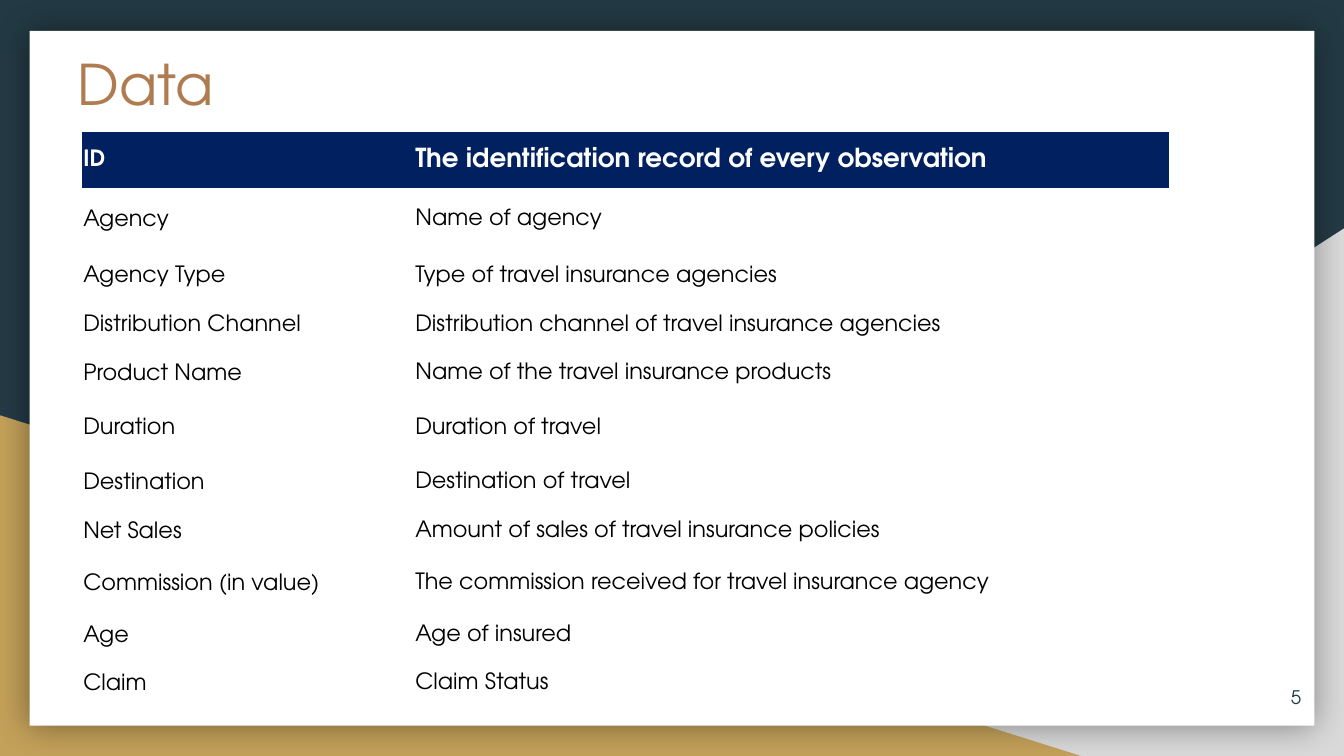
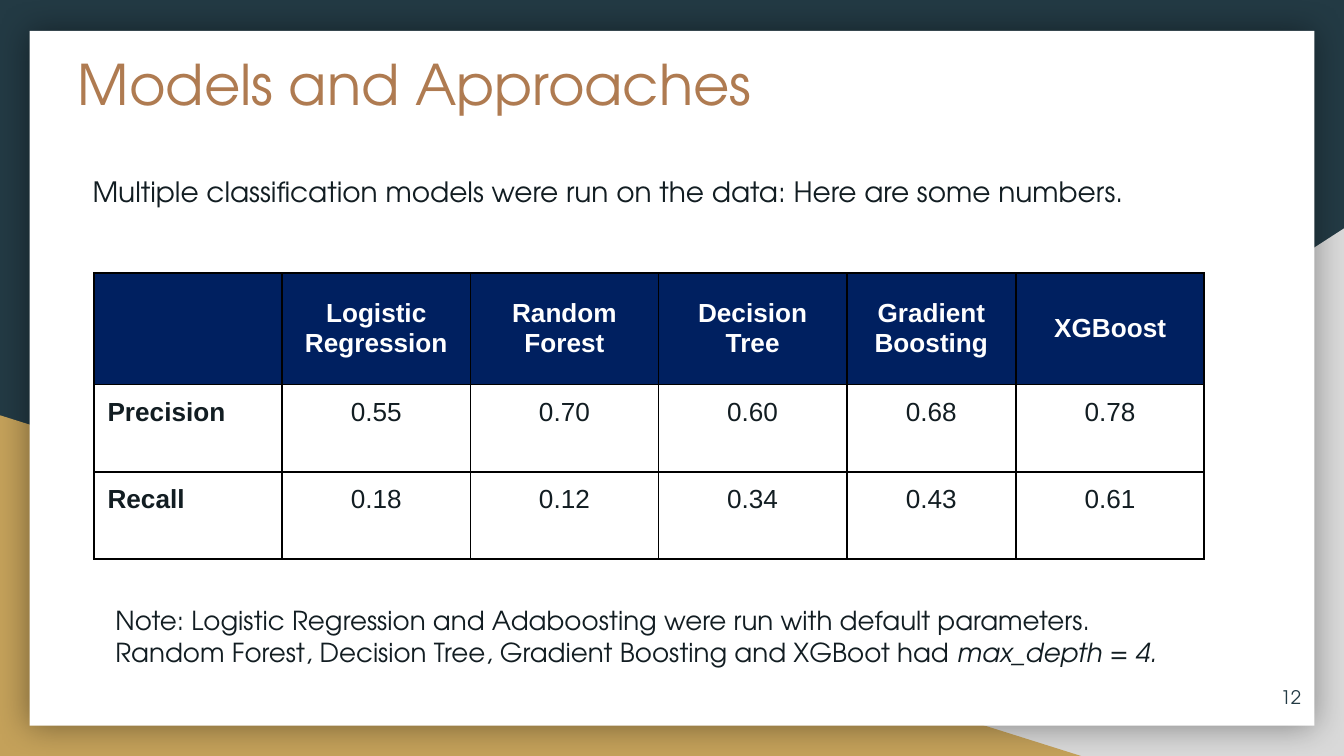
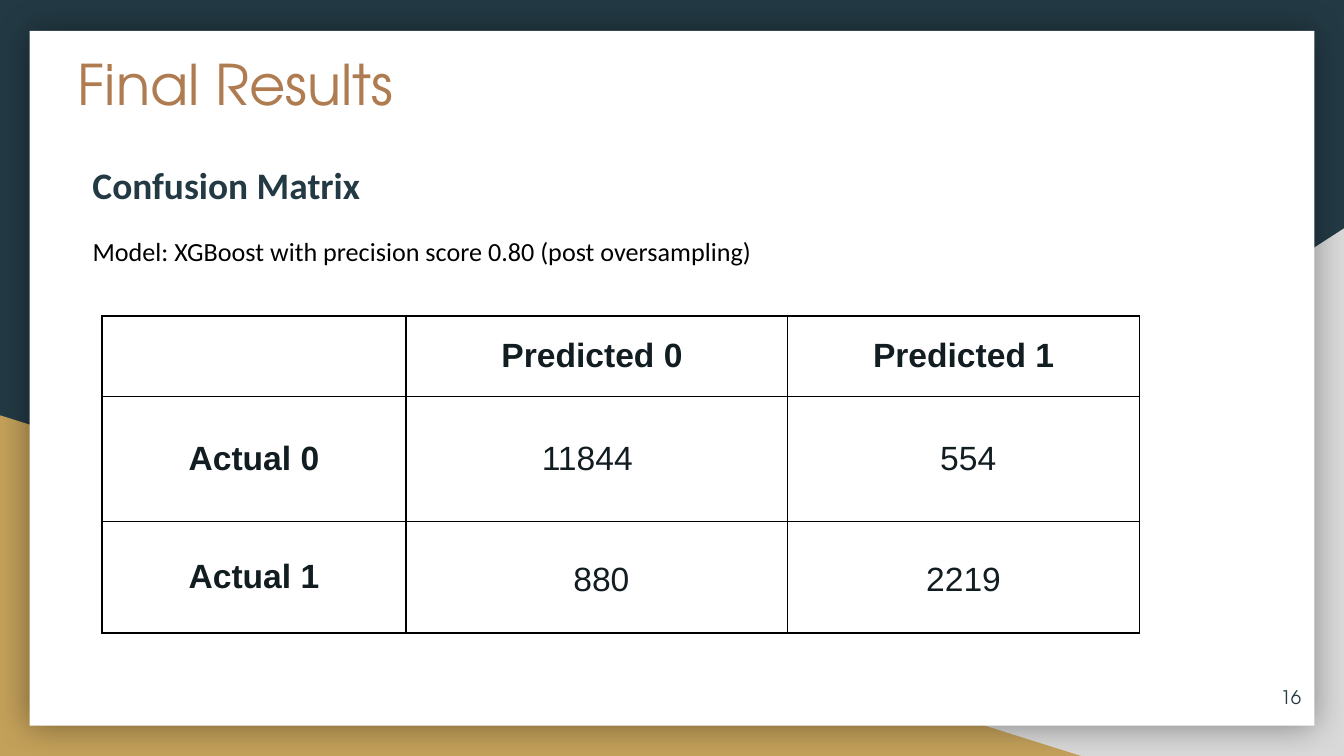
from lxml import etree
from pptx import Presentation
from pptx.dml.color import RGBColor
from pptx.enum.shapes import MSO_SHAPE
from pptx.enum.text import MSO_ANCHOR, PP_ALIGN
from pptx.oxml.ns import qn
from pptx.util import Emu, Pt

RECTANGLE, TRIANGLE = MSO_SHAPE.RECTANGLE, MSO_SHAPE.RIGHT_TRIANGLE
TOP, MIDDLE = MSO_ANCHOR.TOP, MSO_ANCHOR.MIDDLE
LEFT, CENTER, RIGHT = PP_ALIGN.LEFT, PP_ALIGN.CENTER, PP_ALIGN.RIGHT

EMU_PER_PX = 9144
PAGE_WIDTH = 1000
TEAL, GREY, GOLD, WHITE, BLACK = "233A44", "D9D9D9", "C4A15A", "FFFFFF", "000000"
COPPER, NAVY, INK = "AF7B51", "002060", "121D22"
DISPLAY, SANS, HUMANIST = "TeX Gyre Adventor", "Arial", "Calibri"
INSETS = (10, 10, 10, 10)
SIDES = ("margin_left", "margin_top", "margin_right", "margin_bottom")

TITLE = {"size": 30, "name": DISPLAY, "color": COPPER}
NUMBER = {"size": 10, "name": DISPLAY, "color": TEAL}
INTRO = {"size": 15, "name": DISPLAY, "color": INK}
NOTE = {"size": 14, "name": DISPLAY, "color": INK}
SUBTITLE = {"size": 20, "name": HUMANIST, "color": TEAL, "bold": True}
CAPTION = {"size": 14, "name": HUMANIST, "color": BLACK}
FIELD = {"size": 12, "name": DISPLAY, "color": BLACK}
SCORE = {"size": 14, "name": SANS, "color": INK}
COUNT = {"size": 18, "name": SANS, "color": INK}

FIELD_ROWS = [
    ("ID", "The identification record of every observation", 42),
    ("Agency", "Name of agency", 47),
    ("Agency Type", "Type of travel insurance agencies", 37),
    ("Distribution Channel", "Distribution channel of travel insurance agencies", 36),
    ("Product Name", "Name of the travel insurance products", 36),
    ("Duration", "Duration of travel", 45),
    ("Destination", "Destination of travel", 36),
    ("Net Sales", "Amount of sales of travel insurance policies", 37),
    ("Commission (in value)", "The commission received for travel insurance agency", 41),
    ("Age", "Age of insured", 36),
    ("Claim", "Claim Status", 36),
]
SCORE_ROWS = [
    ("", "Logistic\nRegression", "Random\nForest", "Decision\nTree", "Gradient\nBoosting", "XGBoost"),
    ("Precision", "0.55", "0.70", "0.60", "0.68", "0.78"),
    ("Recall", "0.18", "0.12", "0.34", "0.43", "0.61"),
]
COUNT_ROWS = [
    ("", "Predicted 0", "Predicted 1"),
    ("Actual 0", "11844", "554"),
    ("Actual 1", "880", "2219"),
]
COUNT_SHIFTS = {(0, 1): -7, (1, 1): -14, (1, 2): 7, (2, 1): 7}


def px(length):
    """Turn px into EMU."""
    return Emu(length * EMU_PER_PX)


def rgb(value):
    """Turn a hex string into a colour."""
    return RGBColor.from_string(value)


def add_spans(para, spans, style):
    """Add spans of text, each with its own changes to the style."""
    for text, changes in spans:
        span = para.add_run()
        span.text = text
        for key, value in {**style, **changes}.items():
            if key == "color":
                span.font.color.rgb = rgb(value)
            else:
                setattr(span.font, key, Pt(value) if key == "size" else value)


def fill_frame(frame, paras, style, layout):
    """Write paragraphs, given as strings or lists of spans."""
    for index, content in enumerate(paras):
        para = frame.add_paragraph() if index else frame.paragraphs[0]
        for key, value in layout.items():
            setattr(para, key, value)
        spans = [(content, {})] if isinstance(content, str) else content
        add_spans(para, spans, style)


def set_insets(target, insets):
    """Set the four inner margins of a frame or cell."""
    for side, inset in zip(SIDES, insets):
        setattr(target, side, px(inset))


def add_text(page, box, paras, style, anchor=TOP, **layout):
    """Add a wrapped text box."""
    frame = page.shapes.add_textbox(*map(px, box)).text_frame
    frame.word_wrap = True
    frame.vertical_anchor = anchor
    set_insets(frame, INSETS)
    fill_frame(frame, paras, style, layout)


def add_panel(page, kind, box, color):
    """Add a plain filled shape without line or shadow."""
    panel = page.shapes.add_shape(kind, *map(px, box))
    panel.shadow.inherit = False
    panel.fill.solid()
    panel.fill.fore_color.rgb = rgb(color)
    panel.line.fill.background()
    return panel


def add_glow(panel):
    """Give a panel a soft dark shadow on every side."""
    effects = panel._element.spPr.find(qn("a:effectLst"))
    shadow = etree.SubElement(effects, qn("a:outerShdw"), blurRad=str(Pt(18)), dist="0", dir="0",
                              algn="ctr", rotWithShape="0")
    color = etree.SubElement(shadow, qn("a:srgbClr"), val=BLACK)
    etree.SubElement(color, qn("a:alpha"), val="40000")


def add_page(deck, title, number):
    """Add a page with its backdrop, card, title and number."""
    page = deck.slides.add_slide(deck.slide_layouts[6])
    page.background.fill.solid()
    page.background.fill.fore_color.rgb = rgb(TEAL)
    corner = add_panel(page, TRIANGLE, (392, 170, 608, 393), GREY)
    corner._element.spPr.xfrm.set("flipH", "1")
    add_panel(page, TRIANGLE, (0, 309, 806, 254), GOLD)
    add_glow(add_panel(page, RECTANGLE, (22, 23, 956, 517), WHITE))
    add_text(page, (48, 27, 821, 71), [title], TITLE)
    add_text(page, (918, 497, 60, 43), [number], NUMBER, MIDDLE, alignment=RIGHT)
    return page


def set_borders(cell, color):
    """Draw the four cell borders, or hide them when no colour is given."""
    properties = cell._tc.get_or_add_tcPr()
    for side in ("lnL", "lnR", "lnT", "lnB"):
        line = etree.SubElement(properties, qn("a:" + side), w=str(Pt(1)))
        if color:
            fill = etree.SubElement(line, qn("a:solidFill"))
            etree.SubElement(fill, qn("a:srgbClr"), val=color)
        else:
            etree.SubElement(line, qn("a:noFill"))


def add_grid(page, corner, widths, heights, border=None):
    """Add a table without style bands and return its cells by row and column."""
    box = (*corner, sum(widths), sum(heights))
    table = page.shapes.add_table(len(heights), len(widths), *map(px, box)).table
    table.first_row = table.horz_banding = False
    for column, width in zip(table.columns, widths):
        column.width = px(width)
    for row, height in zip(table.rows, heights):
        row.height = px(height)
    cells = {(row, column): table.cell(row, column)
             for row in range(len(heights)) for column in range(len(widths))}
    for cell in cells.values():
        set_borders(cell, border)
    return cells


def fill_cell(cell, text, style, fill=None, insets=INSETS, anchor=MIDDLE, **layout):
    """Set the fill, margins and text of one cell."""
    if fill:
        cell.fill.solid()
        cell.fill.fore_color.rgb = rgb(fill)
    else:
        cell.fill.background()
    set_insets(cell, insets)
    cell.vertical_anchor = anchor
    if text:
        fill_frame(cell.text_frame, text.split("\n"), style, layout)


def add_field_table(page, corner):
    """List the fields of the data with their meanings."""
    heights = [height for *_, height in FIELD_ROWS]
    for (row, column), cell in add_grid(page, corner, [238, 571], heights).items():
        style = FIELD
        if row == 0:
            style = {**FIELD, "size": 14 if column else 12, "color": WHITE, "bold": True}
        insets = (10, 5, 10, 5) if column else (1, 1, 1, 0)
        fill_cell(cell, FIELD_ROWS[row][column], style, None if row else NAVY, insets)


def add_score_table(page, corner):
    """Compare precision and recall of the models."""
    cells = add_grid(page, corner, [140, 140, 140, 140, 126, 140], [83, 65, 65], BLACK)
    for (row, column), cell in cells.items():
        style = {**SCORE, "color": INK if row else WHITE, "bold": row == 0 or column == 0}
        fill_cell(cell, SCORE_ROWS[row][column], style, None if row else NAVY,
                  anchor=TOP if row else MIDDLE,
                  alignment=LEFT if row and column == 0 else CENTER)


def add_count_table(page, corner):
    """Show the confusion matrix."""
    cells = add_grid(page, corner, [226, 284, 262], [60, 93, 83], BLACK)
    for (row, column), cell in cells.items():
        shift = COUNT_SHIFTS.get((row, column), 0)
        insets = (10 + max(shift, 0), 10, 10 + max(-shift, 0), 10)
        fill_cell(cell, COUNT_ROWS[row][column], {**COUNT, "bold": row == 0 or column == 0},
                  insets=insets, alignment=CENTER,
                  line_spacing=1.15 if row == 2 and column else 1.0)


def add_data_page(deck):
    """Build the page on the data."""
    page = add_page(deck, "Data", "5")
    add_field_table(page, (61, 98))


def add_models_page(deck):
    """Build the page on the models."""
    page = add_page(deck, "Models and Approaches", "12")
    add_text(page, (59, 116, 852, 74),
             ["Multiple classification models were run on the data: Here are some numbers."],
             INTRO, line_spacing=1.15, space_before=Pt(16))
    add_score_table(page, (70, 203))
    add_text(page, (76, 440, 826, 74), [
        "Note: Logistic Regression and Adaboosting were run with default parameters.",
        [("Random Forest, Decision Tree, Gradient Boosting and XGBoot had ", {}),
         ("max_depth = 4.", {"italic": True})],
    ], NOTE)


def add_results_page(deck):
    """Build the page on the results."""
    page = add_page(deck, "Final Results", "16")
    add_text(page, (59, 106, 240, 51), ["Confusion Matrix"], SUBTITLE,
             line_spacing=1.15, space_after=Pt(16))
    add_count_table(page, (76, 235))
    add_text(page, (59, 165, 772, 45),
             ["Model: XGBoost with precision score 0.80 (post oversampling)"], CAPTION)


def main():
    """Build and save the widescreen deck."""
    deck = Presentation()
    deck.slide_width = px(PAGE_WIDTH)
    deck.slide_height = Emu(px(PAGE_WIDTH) * 9 // 16)
    for add in (add_data_page, add_models_page, add_results_page):
        add(deck)
    deck.save("out.pptx")


if __name__ == "__main__":
    main()
